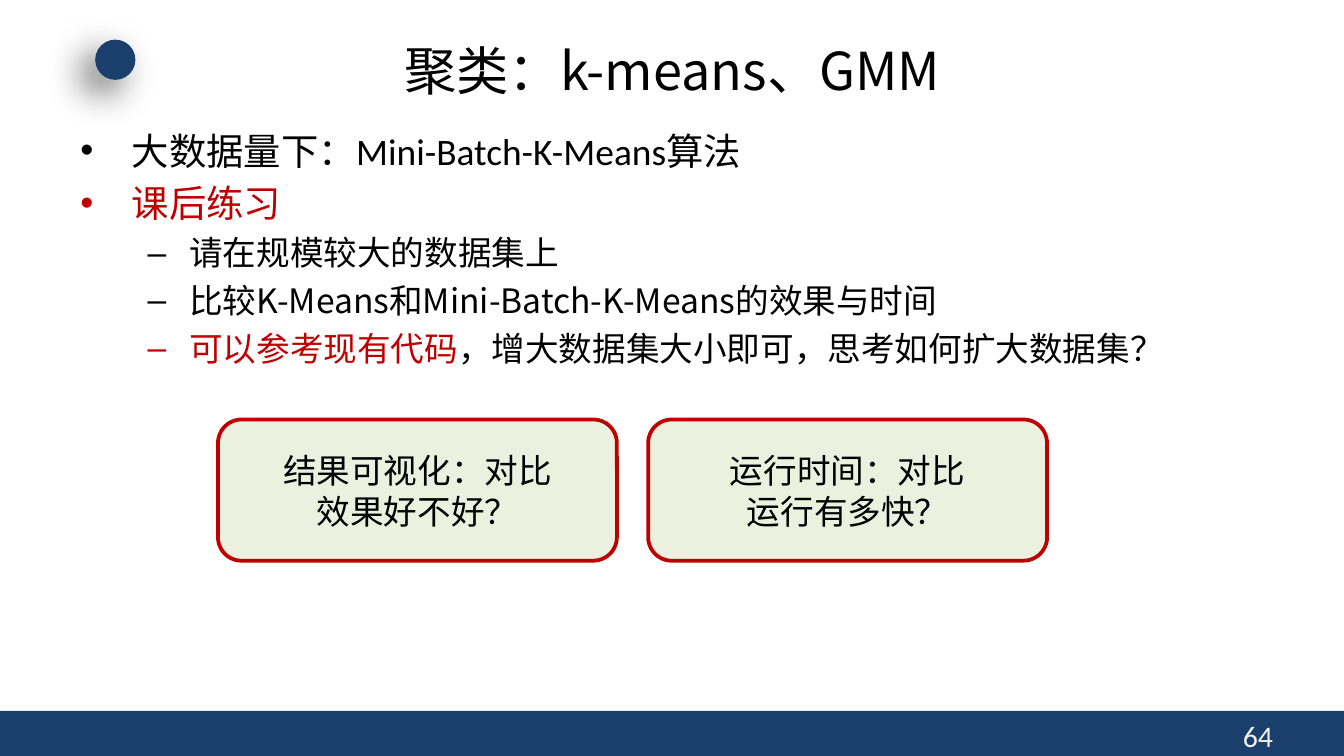
from lxml.etree import SubElement
from pptx import Presentation
from pptx.dml.color import RGBColor
from pptx.enum.shapes import MSO_SHAPE as Shape
from pptx.enum.text import MSO_ANCHOR as Anchor, PP_ALIGN as Align
from pptx.oxml.ns import qn
from pptx.util import Cm, Pt

NAVY = RGBColor(0x1A, 0x3F, 0x6C)
RED = RGBColor(0xC0, 0x00, 0x00)
BLACK = RGBColor(0x00, 0x00, 0x00)
PALE_GREEN = RGBColor(0xEB, 0xF1, 0xDE)
PALE_GREY = RGBColor(0xF2, 0xF2, 0xF2)
LATIN = "Calibri"
HAN = "Noto Sans CJK SC"


class SlideStyle:
    # Per level: text size, line height, space before, left margin, hanging indent, bullet
    LEVELS = [(20, 24, 4, 0.97, 0.97, "•"), (18, 22, 3.6, 2.06, 0.79, "–")]

    def __init__(self, page):
        self.page = page

    def add_run(self, para, text, size, color=BLACK, font=HAN):
        span = para.add_run()
        span.text = text
        span.font.size = Pt(size)
        span.font.name = font
        span.font.color.rgb = color
        SubElement(span.font._element, qn("a:ea"), typeface=HAN)

    def add_block(self, kind, left, top, width, height, fill, line=None):
        block = self.page.shapes.add_shape(kind, Cm(left), Cm(top), Cm(width), Cm(height))
        block.shadow.inherit = False
        block.fill.solid()
        block.fill.fore_color.rgb = fill
        if line is None:
            block.line.fill.background()
        else:
            block.line.color.rgb = line
            block.line.width = Pt(2)
        return block

    def add_shadow(self, block):
        effects = block._element.spPr.find(qn("a:effectLst"))
        shadow = SubElement(effects, qn("a:outerShdw"), blurRad=str(Pt(20)), dist=str(Pt(10)),
                            dir=str(135 * 60000), algn="tr", rotWithShape="0")
        color = SubElement(shadow, qn("a:srgbClr"), val=str(BLACK))
        SubElement(color, qn("a:alpha"), val="60000")

    def add_box(self, left, top, width, height):
        box = self.page.shapes.add_textbox(Cm(left), Cm(top), Cm(width), Cm(height))
        box.text_frame.word_wrap = True
        return box.text_frame

    def set_title(self, text, left, top, width, height):
        title = self.page.shapes.title
        title.left, title.top, title.width, title.height = map(Cm, (left, top, width, height))
        title.text_frame.vertical_anchor = Anchor.MIDDLE
        para = title.text_frame.paragraphs[0]
        para.alignment = Align.CENTER
        para.line_spacing = Pt(36)
        self.add_run(para, text, 28)

    def add_bullets(self, items, left, top, width, height):
        frame = self.add_box(left, top, width, height)
        for index, (level, bullet_color, spans) in enumerate(items):
            size, line_height, gap, margin, hang, bullet = self.LEVELS[level]
            para = frame.add_paragraph() if index else frame.paragraphs[0]
            para.level = level
            para.line_spacing = Pt(line_height)
            if index:
                para.space_before = Pt(gap)
            props = para._p.get_or_add_pPr()
            props.set("marL", str(Cm(margin)))
            props.set("indent", str(-Cm(hang)))
            color = SubElement(props, qn("a:buClr"))
            SubElement(color, qn("a:srgbClr"), val=str(bullet_color))
            SubElement(props, qn("a:buFont"), typeface="Arial")
            SubElement(props, qn("a:buChar"), char=bullet)
            for text, text_color, font in spans:
                self.add_run(para, text, size, text_color, font)

    def add_card(self, lines, left, top, width, height):
        card = self.add_block(Shape.ROUNDED_RECTANGLE, left, top, width, height, PALE_GREEN, RED)
        frame = card.text_frame
        frame.word_wrap = True
        frame.vertical_anchor = Anchor.MIDDLE
        for index, line in enumerate(lines):
            para = frame.add_paragraph() if index else frame.paragraphs[0]
            para.alignment = Align.CENTER
            para.line_spacing = Pt(22)
            self.add_run(para, line, 18, font=LATIN)


def main():
    deck = Presentation()
    deck.slide_width, deck.slide_height = Cm(25.4), Cm(14.29)
    style = SlideStyle(deck.slides.add_slide(deck.slide_layouts[5]))

    # Footer band, page number and title ornament
    style.add_block(Shape.RECTANGLE, 0, 13.44, 25.4, 0.85, NAVY)
    number = style.add_box(23.24, 13.44, 2.03, 0.76)
    style.add_run(number.paragraphs[0], "64", 16, PALE_GREY, LATIN)
    dot = style.add_block(Shape.OVAL, 1.8, 0.75, 0.76, 0.76, NAVY)
    style.add_shadow(dot)

    # Title and bullet list
    style.set_title("聚类：k-means、GMM", 1.27, 0.58, 22.86, 1.4)
    items = [
        (0, BLACK, [("大数据量下：", BLACK, HAN), ("Mini-Batch-K-Means算法", BLACK, LATIN)]),
        (0, RED, [("课后练习", RED, HAN)]),
        (1, BLACK, [("请在规模较大的数据集上", BLACK, HAN)]),
        (1, BLACK, [("比较K-Means和Mini-Batch-K-Means的效果与时间", BLACK, HAN)]),
        (1, RED, [("可以参考现有代码", RED, HAN),
                  ("，增大数据集大小即可，思考如何扩大数据集？", BLACK, HAN)]),
    ]
    style.add_bullets(items, 1.27, 2.29, 22.86, 10.95)

    # Comparison cards
    cards = [("结果可视化：对比", "效果好不好？"), ("运行时间：对比", "运行有多快？")]
    for index, lines in enumerate(cards):
        style.add_card(lines, 4.12 + index * 8.13, 7.93, 7.54, 2.67)

    deck.save("out.pptx")


if __name__ == "__main__":
    main()
